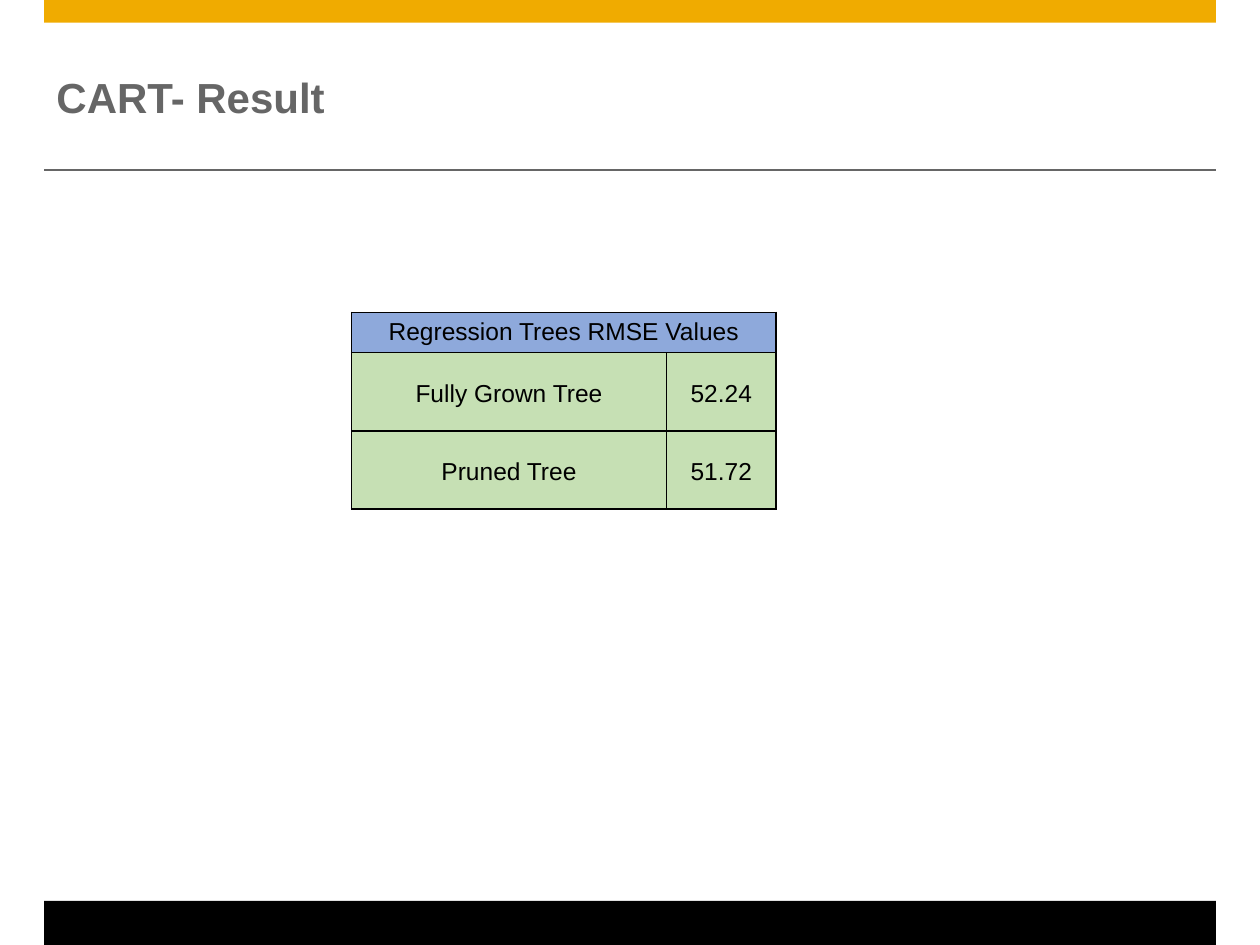
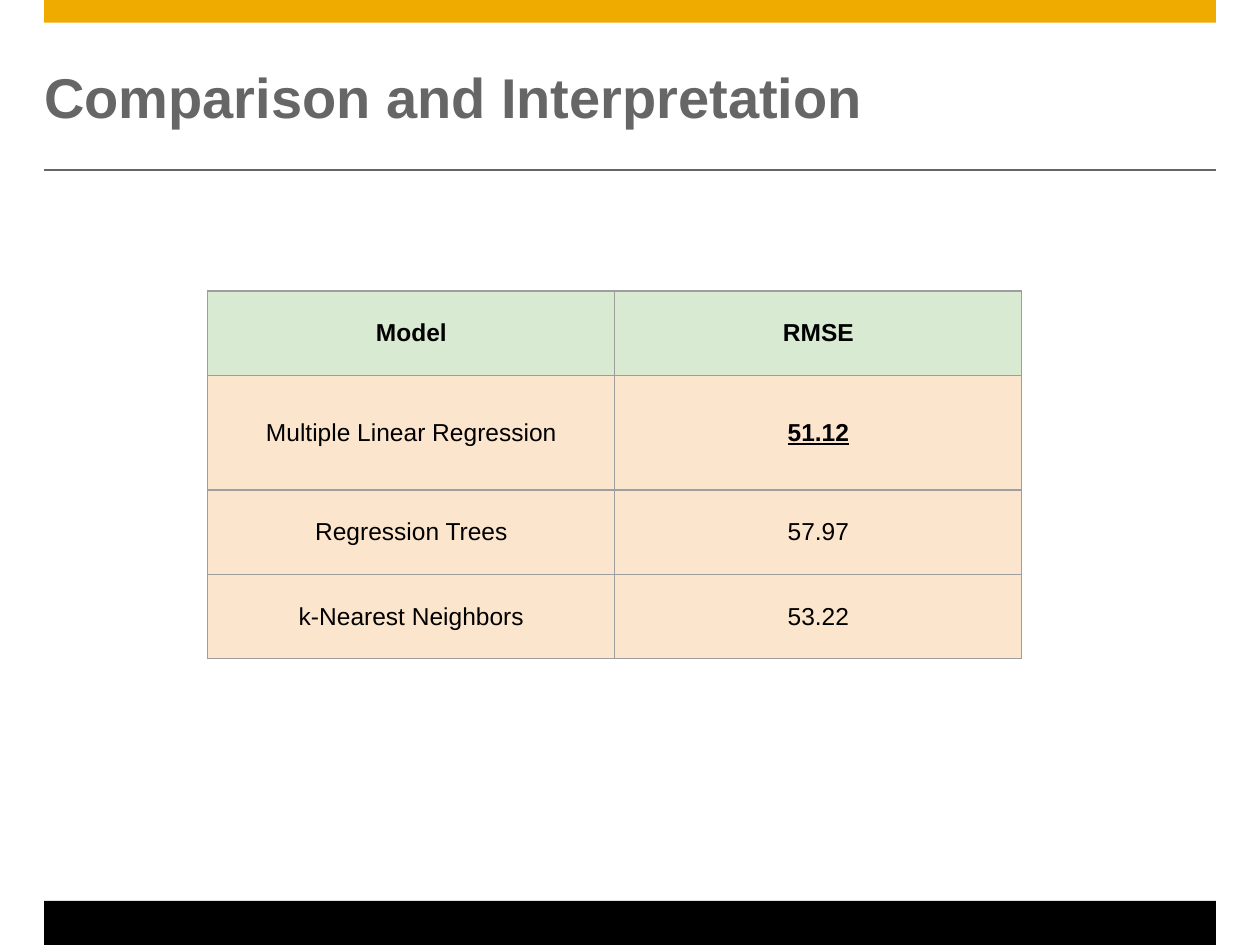
"""Build two slides comparing the RMSE of regression models."""
from dataclasses import dataclass, field

from lxml import etree
from pptx import Presentation
from pptx import util as u
from pptx.dml.color import RGBColor
from pptx.enum import shapes, text
from pptx.oxml import ns

FONT = "Arial"
GOLD, GREY, BLACK = "F0AB00", "666666", "000000"
COLUMNS, ROWS = 100, 75
SLIDE_WIDTH, SLIDE_HEIGHT = u.Inches(10), u.Inches(7.5)
MARGIN = 3.5
CONTENT = COLUMNS - 2 * MARGIN


@dataclass(frozen=True)
class Band:
    top: float
    height: float
    color: str


@dataclass(frozen=True)
class Grid:
    left: float
    top: float
    columns: list[float]
    rows: list[float]
    values: list[list[str]]
    header_fill: str
    body_fill: str
    border: str
    border_width: float
    insets: tuple[float, float]
    spacing: float = 1.0
    header_bold: bool = False
    header_anchor: text.MSO_ANCHOR = text.MSO_ANCHOR.MIDDLE
    best: set[str] = field(default_factory=set)


@dataclass(frozen=True)
class Page:
    title: str
    title_size: float
    title_inset: float
    results: Grid


BANDS = [Band(0, 1.8, GOLD), Band(71.5, 3.5, BLACK)]

PAGES = [
    Page("CART- Result", 24, 1, Grid(
        left=27.9, top=24.8, columns=[25, 8.7], rows=[3.2, 6.2, 6.2],
        values=[["Regression Trees RMSE Values"],
                ["Fully Grown Tree", "52.24"],
                ["Pruned Tree", "51.72"]],
        header_fill="8EA9DB", body_fill="C6E0B4", border=BLACK, border_width=1,
        insets=(0.7, 0.1), spacing=1.15, header_anchor=text.MSO_ANCHOR.TOP)),
    Page("Comparison and Interpretation", 32, 0, Grid(
        left=16.5, top=23.1, columns=[32.3] * 2, rows=[6.7, 9.1, 6.7, 6.7],
        values=[["Model", "RMSE"],
                ["Multiple Linear Regression", "51.12"],
                ["Regression Trees", "57.97"],
                ["k-Nearest Neighbors", "53.22"]],
        header_fill="D9EAD3", body_fill="FCE5CD", border="9E9E9E", border_width=0.75,
        insets=(1, 1), header_bold=True, best={"51.12"})),
]


def across(columns: float) -> u.Emu:
    """Convert grid columns to a length."""
    return u.Emu(round(SLIDE_WIDTH * columns / COLUMNS))


def down(rows: float) -> u.Emu:
    """Convert grid rows to a length."""
    return u.Emu(round(SLIDE_HEIGHT * rows / ROWS))


def rgb(color: str) -> RGBColor:
    """Turn a hex string into a colour."""
    return RGBColor.from_string(color)


def paint(target, color: str) -> None:
    """Give a shape or cell a solid fill."""
    target.fill.solid()
    target.fill.fore_color.rgb = rgb(color)


def write(frame, words: str, *, size: float, color: str = BLACK, bold: bool = False,
          underline: bool = False, align=text.PP_ALIGN.LEFT, spacing: float = 1.0) -> None:
    """Write one formatted paragraph into a text frame."""
    paragraph = frame.paragraphs[0]
    paragraph.alignment = align
    paragraph.line_spacing = spacing
    run = paragraph.add_run()
    run.text = words
    font = run.font
    font.name, font.size, font.bold, font.underline = FONT, u.Pt(size), bold, underline
    font.color.rgb = rgb(color)


def draw_band(slide, band: Band) -> None:
    """Draw a plain band across the content width."""
    bar = slide.shapes.add_shape(
        shapes.MSO_SHAPE.RECTANGLE, across(MARGIN), down(band.top),
        across(CONTENT), down(band.height))
    bar.shadow.inherit = False
    paint(bar, band.color)
    bar.line.fill.background()


def draw_rule(slide) -> None:
    """Draw the thin rule below the title."""
    rule = slide.shapes.add_connector(
        shapes.MSO_CONNECTOR.STRAIGHT, across(MARGIN), down(13.5),
        across(COLUMNS - MARGIN), down(13.5))
    rule.line.color.rgb = rgb(GREY)
    rule.line.width = u.Pt(0.75)
    etree.SubElement(rule._element.spPr, ns.qn("a:effectLst"))


def draw_title(slide, page: Page) -> None:
    """Write the slide title between the top band and the rule."""
    box = slide.shapes.add_textbox(across(MARGIN), down(3.5), across(CONTENT), down(8.3))
    frame = box.text_frame
    frame.word_wrap = True
    frame.vertical_anchor = text.MSO_ANCHOR.MIDDLE
    frame.margin_left = frame.margin_right = across(page.title_inset)
    frame.margin_top = frame.margin_bottom = down(page.title_inset)
    write(frame, page.title, size=page.title_size, color=GREY, bold=True)


def outline(cell, color: str, width: float) -> None:
    """Put the same border on all four sides of a cell."""
    properties = cell._tc.get_or_add_tcPr()
    for index, side in enumerate(("lnL", "lnR", "lnT", "lnB")):
        edge = etree.Element(ns.qn(f"a:{side}"), w=str(u.Pt(width)))
        solid = etree.SubElement(edge, ns.qn("a:solidFill"))
        etree.SubElement(solid, ns.qn("a:srgbClr"), val=color)
        properties.insert(index, edge)


def draw_results(slide, grid: Grid) -> None:
    """Draw a table of results, widening a lone header over all columns."""
    table = slide.shapes.add_table(
        len(grid.rows), len(grid.columns), across(grid.left), down(grid.top),
        across(sum(grid.columns)), down(sum(grid.rows))).table
    table.first_row = table.horz_banding = False
    for column, width in zip(table.columns, grid.columns):
        column.width = across(width)
    for row, height in zip(table.rows, grid.rows):
        row.height = down(height)
    for r, values in enumerate(grid.values):
        header = r == 0
        for c in range(len(grid.columns)):
            cell = table.cell(r, c)
            paint(cell, grid.header_fill if header else grid.body_fill)
            outline(cell, grid.border, grid.border_width)
        if len(values) == 1:
            table.cell(r, 0).merge(table.cell(r, len(grid.columns) - 1))
        for c, value in enumerate(values):
            cell = table.cell(r, c)
            cell.margin_left = cell.margin_right = across(grid.insets[0])
            cell.margin_top = cell.margin_bottom = down(grid.insets[1])
            cell.vertical_anchor = grid.header_anchor if header else text.MSO_ANCHOR.MIDDLE
            best = value in grid.best
            write(cell.text_frame, value, size=14, align=text.PP_ALIGN.CENTER,
                  spacing=grid.spacing, underline=best,
                  bold=best or (header and grid.header_bold))


def main() -> None:
    """Build and save the presentation."""
    deck = Presentation()
    deck.slide_width, deck.slide_height = SLIDE_WIDTH, SLIDE_HEIGHT
    for page in PAGES:
        slide = deck.slides.add_slide(deck.slide_layouts[6])
        for band in BANDS:
            draw_band(slide, band)
        draw_rule(slide)
        draw_title(slide, page)
        draw_results(slide, page.results)
    deck.save("out.pptx")


if __name__ == "__main__":
    main()
